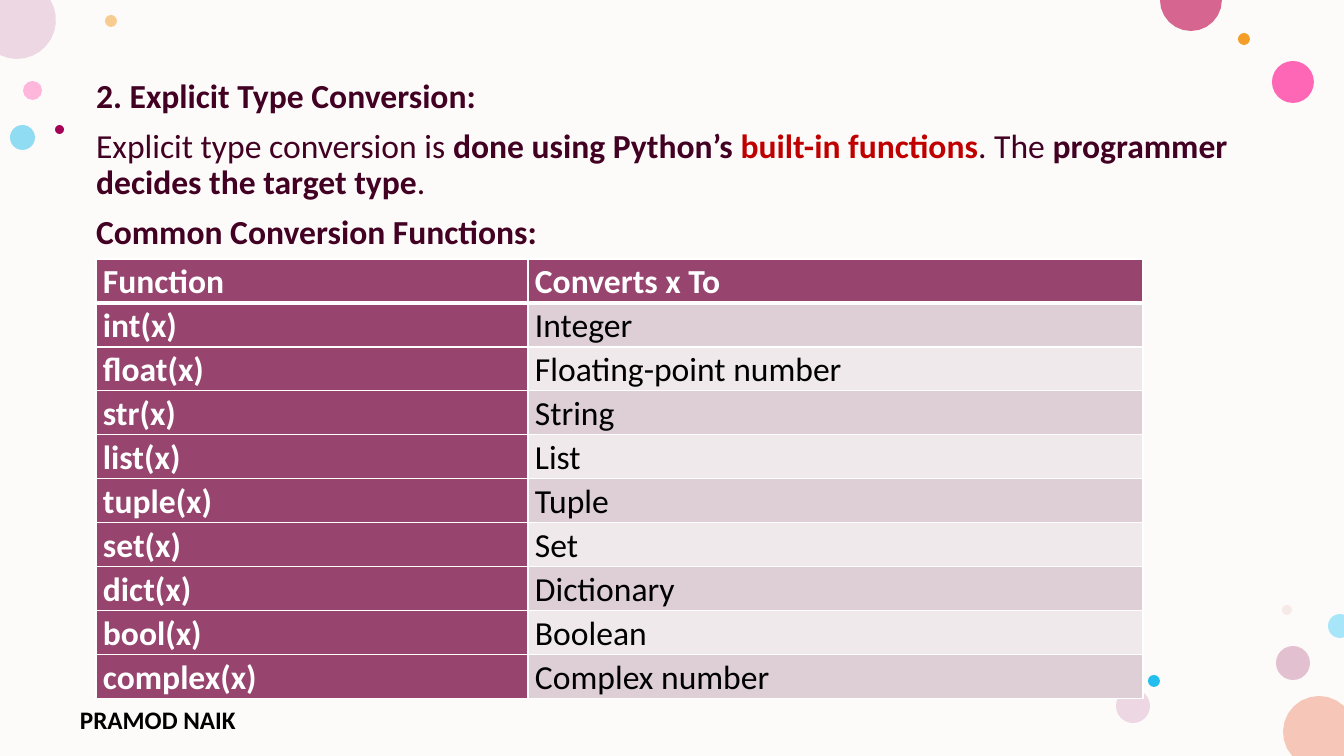
from math import cos, radians, sin

from lxml.etree import SubElement
from pptx import Presentation
from pptx.dml.color import RGBColor
from pptx.enum.shapes import MSO_SHAPE
from pptx.enum.text import MSO_ANCHOR, MSO_AUTO_SIZE
from pptx.oxml.ns import qn
from pptx.util import Pt

W, H = 1344, 756
SCALE = 12192000 / W
PLUM, INK, RED, WHITE, BLACK = "97446E", "420023", "C00000", "FFFFFF", "000000"
BANDS = ["DDCFD5", "EFE9EB"]

# left, top, diameter, colour, opacity in percent
BUBBLES = [
    (23, 81, 19, "FF75BD", 50),
    (105, 15, 12, "F39E29", 50),
    (1276, 646, 34, "C987A8", 50),
    (10, 125, 25, "24BEEE", 50),
    (1272, 61, 42, "FF2F9C", 72),
    (1238, 33, 12, "F39E29", 100),
    (1282, 605, 10, "E3BEBE", 28),
    (1148, 675, 12, "24BEEE", 100),
    (1116, 689, 34, "EDD7E2", 100),
    (1095, 684, 12, "F6C7B9", 100),
    (55, 125, 9, "A40056", 100),
]
# centre x, centre y, radius, start and end of the arc in degrees, corners, colour
EDGE_BUBBLES = [
    (1319, 732, 36, 138, 314, [(W, H)], "F6C7B9"),
    (17, 20, 39, -31, 116, [(0, 0)], "EDD7E2"),
    (1191, 0, 31, 0, 180, [], "D6658F"),
    (1340, 626, 12, 70, 290, [], "A7E5F8"),
]
BODY = [
    [("2. Explicit Type Conversion:", True, INK)],
    [("Explicit type conversion is ", False, INK),
     ("done using Python’s ", True, INK),
     ("built-in functions", True, RED),
     (". The ", False, INK),
     ("programmer decides the target type", True, INK),
     (".", False, INK)],
    [("Common Conversion Functions:", True, INK)],
]
CONVERSIONS = [
    ("Function", "Converts x To"),
    ("int(x)", "Integer"),
    ("float(x)", "Floating-point number"),
    ("str(x)", "String"),
    ("list(x)", "List"),
    ("tuple(x)", "Tuple"),
    ("set(x)", "Set"),
    ("dict(x)", "Dictionary"),
    ("bool(x)", "Boolean"),
    ("complex(x)", "Complex number"),
]


def px(n):
    return round(n * SCALE)


def paint(fill, color, opacity=100):
    fill.solid()
    fill.fore_color.rgb = RGBColor.from_string(color)
    if opacity < 100:
        clr = fill._xPr.find(".//" + qn("a:srgbClr"))
        SubElement(clr, qn("a:alpha"), val=str(opacity * 1000))


def finish(sp, color, opacity=100):
    """Give a shape a plain fill without line or shadow."""
    sp.shadow.inherit = False
    sp.line.fill.background()
    paint(sp.fill, color, opacity)


def add_run(p, text, size, bold, color):
    r = p.add_run()
    r.text = text
    r.font.name, r.font.size, r.font.bold = "Calibri", Pt(size), bold
    r.font.color.rgb = RGBColor.from_string(color)


def add_backdrop(s):
    finish(s.shapes.add_shape(MSO_SHAPE.RECTANGLE, 0, 0, px(W), px(H)), "FDFBF9")
    for x, y, d, color, opacity in BUBBLES:
        box = map(px, (x, y, d, d))
        finish(s.shapes.add_shape(MSO_SHAPE.OVAL, *box), color, opacity)
    for bubble in EDGE_BUBBLES:
        add_edge_bubble(s, *bubble)


def add_edge_bubble(s, cx, cy, r, start, end, corners, color, steps=12):
    """Draw the part of a circle that lies inside the slide edge."""
    angles = [radians(start + (end - start) * i / steps) for i in range(steps + 1)]
    points = [(cx + r * cos(a), cy + r * sin(a)) for a in angles] + corners
    points = [(px(min(max(x, 0), W)), px(min(max(y, 0), H))) for x, y in points]
    outline = s.shapes.build_freeform(*points[0])
    outline.add_line_segments(points[1:])
    finish(outline.convert_to_shape(), color)


def add_body(s, x, y, w, h):
    sp = s.placeholders[1]
    s.shapes._spTree.append(sp._element)
    sp.left, sp.top, sp.width, sp.height = map(px, (x, y, w, h))
    tf = sp.text_frame
    tf.auto_size, tf.vertical_anchor = MSO_AUTO_SIZE.NONE, MSO_ANCHOR.TOP
    for i, runs in enumerate(BODY):
        p = tf.add_paragraph() if i else tf.paragraphs[0]
        p.line_spacing, p.space_before = 0.9, Pt(10)
        pPr = p._p.get_or_add_pPr()
        pPr.set("marL", "0")
        pPr.set("indent", "0")
        SubElement(pPr, qn("a:buNone"))
        for text, bold, color in runs:
            add_run(p, text, 24, bold, color)


def add_borders(cell, **widths):
    tcPr = cell._tc.get_or_add_tcPr()
    for side in "LRTB":
        ln = SubElement(tcPr, qn("a:ln" + side), w=str(Pt(widths.get(side, 1))))
        SubElement(SubElement(ln, qn("a:solidFill")), qn("a:srgbClr"), val=WHITE)


def add_conversions(s, x, y, col_widths, row_h):
    n = len(CONVERSIONS)
    table = s.shapes.add_table(n, 2, px(x), px(y), px(sum(col_widths)),
                               px(row_h * n)).table
    table.first_col = True
    for col, w in zip(table.columns, col_widths):
        col.width = px(w)
    for i, texts in enumerate(CONVERSIONS):
        for j, text in enumerate(texts):
            cell = table.cell(i, j)
            head = i == 0 or j == 0
            add_borders(cell, T=3 if i == 1 else 1, B=3 if i == 0 else 1)
            paint(cell.fill, PLUM if head else BANDS[(i - 1) % 2])
            cell.margin_left = cell.margin_right = px(7)
            cell.margin_top = cell.margin_bottom = 0
            p = cell.text_frame.paragraphs[0]
            p.line_spacing, p.space_after = 1.07, Pt(8)
            add_run(p, text, 24, head, WHITE if head else BLACK)


def add_author(s, x, y, w, h):
    tf = s.shapes.add_textbox(px(x), px(y), px(w), px(h)).text_frame
    tf.word_wrap = True
    add_run(tf.paragraphs[0], "PRAMOD NAIK", 18, True, BLACK)


def main():
    prs = Presentation()
    prs.slide_width, prs.slide_height = px(W), px(H)
    s = prs.slides.add_slide(prs.slide_layouts[1])
    title = s.shapes.title._element
    title.getparent().remove(title)
    add_backdrop(s)
    add_author(s, 70, 699, 247, 32)
    add_body(s, 86, 74, 1175, 607)
    add_conversions(s, 96, 259, (432, 615), 44)
    prs.save("out.pptx")


if __name__ == "__main__":
    main()
